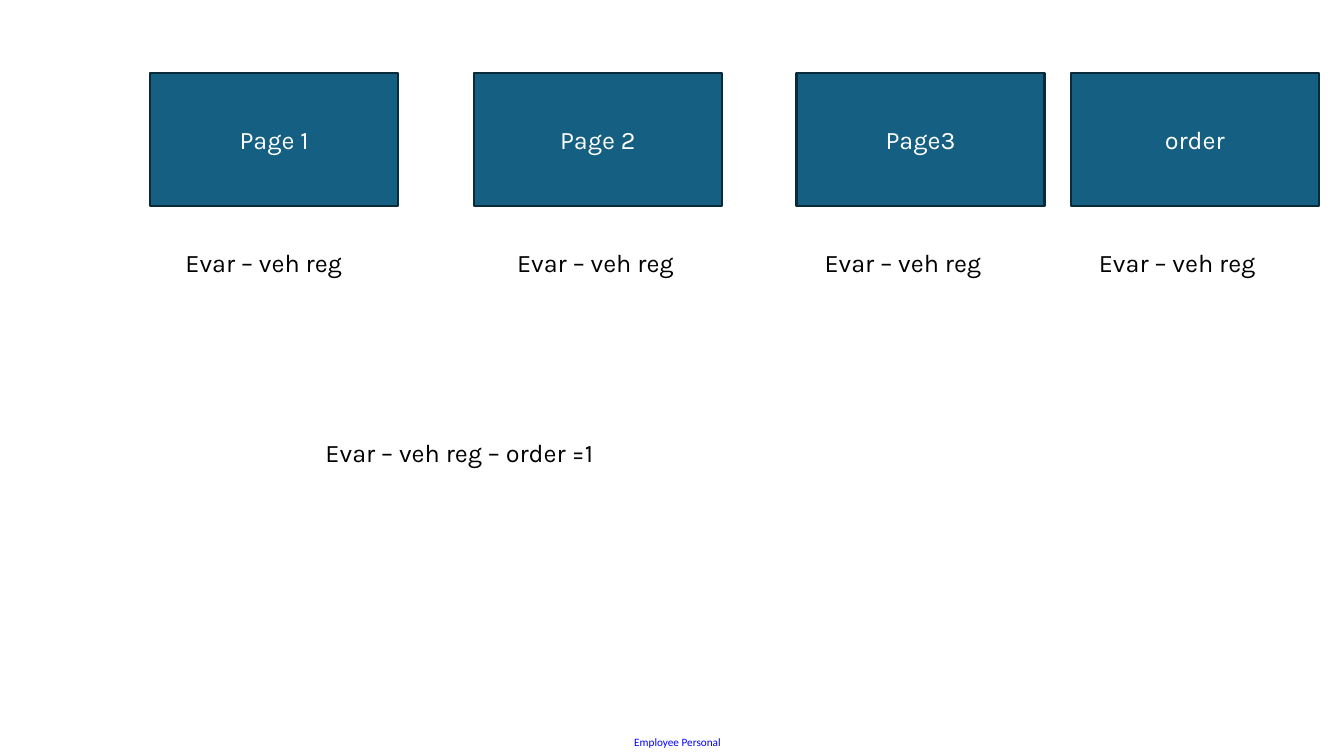
from pptx import Presentation
from pptx.dml.color import RGBColor
from pptx.enum.shapes import MSO_SHAPE
from pptx.enum.text import MSO_ANCHOR, PP_ALIGN
from pptx.util import Inches, Pt

STEPS = [
    ("Page 1", 1.49, 1.74),
    ("Page 2", 4.7, 5.03),
    ("Page3", 7.9, 8.08),
    ("order", 10.62, 10.8),
]
VARIABLE = "Evar – veh reg"
RESULT = "Evar – veh reg – order =1"
CLASSIFICATION = "Employee Personal"

STEP_TOP, STEP_WIDTH, STEP_HEIGHT = 0.72, 2.46, 1.32
VARIABLE_TOP, VARIABLE_WIDTH, LINE_HEIGHT = 2.4, 2.28, 0.4


def color(hex_value):
    return RGBColor.from_string(hex_value)


def write(holder, text, size=18, font="Karla", ink="000000",
          align=PP_ALIGN.LEFT, anchor=MSO_ANCHOR.TOP):
    frame = holder.text_frame
    frame.word_wrap = True
    frame.vertical_anchor = anchor
    paragraph = frame.paragraphs[0]
    paragraph.alignment = align
    run = paragraph.add_run()
    run.text = text
    run.font.size = Pt(size)
    run.font.name = font
    run.font.color.rgb = color(ink)
    return frame


def add_label(slide, text, left, top, width, height, **style):
    label = slide.shapes.add_textbox(
        Inches(left), Inches(top), Inches(width), Inches(height))
    return write(label, text, **style)


def add_step(slide, title, left):
    step = slide.shapes.add_shape(
        MSO_SHAPE.RECTANGLE, Inches(left), Inches(STEP_TOP),
        Inches(STEP_WIDTH), Inches(STEP_HEIGHT))
    step.shadow.inherit = False
    step.fill.solid()
    step.fill.fore_color.rgb = color("156082")
    step.line.color.rgb = color("092A39")
    step.line.width = Pt(1.5)
    write(step, title, ink="FFFFFF", align=PP_ALIGN.CENTER,
          anchor=MSO_ANCHOR.MIDDLE)


def main():
    deck = Presentation()
    deck.slide_width, deck.slide_height = Inches(13.33), Inches(7.5)
    slide = deck.slides.add_slide(deck.slide_layouts[6])

    footer = add_label(slide, CLASSIFICATION, 6.17, 7.3, 1.03, 0.13,
                       size=8, font="Calibri", ink="0000FF")
    footer.word_wrap = False
    footer.margin_left = Inches(0.12)
    footer.margin_top = footer.margin_right = footer.margin_bottom = 0

    for title, step_left, variable_left in STEPS:
        add_step(slide, title, step_left)
        add_label(slide, VARIABLE, variable_left, VARIABLE_TOP,
                  VARIABLE_WIDTH, LINE_HEIGHT)
    add_label(slide, RESULT, 3.13, 4.29, 3.23, LINE_HEIGHT)

    deck.save("out.pptx")


if __name__ == "__main__":
    main()
